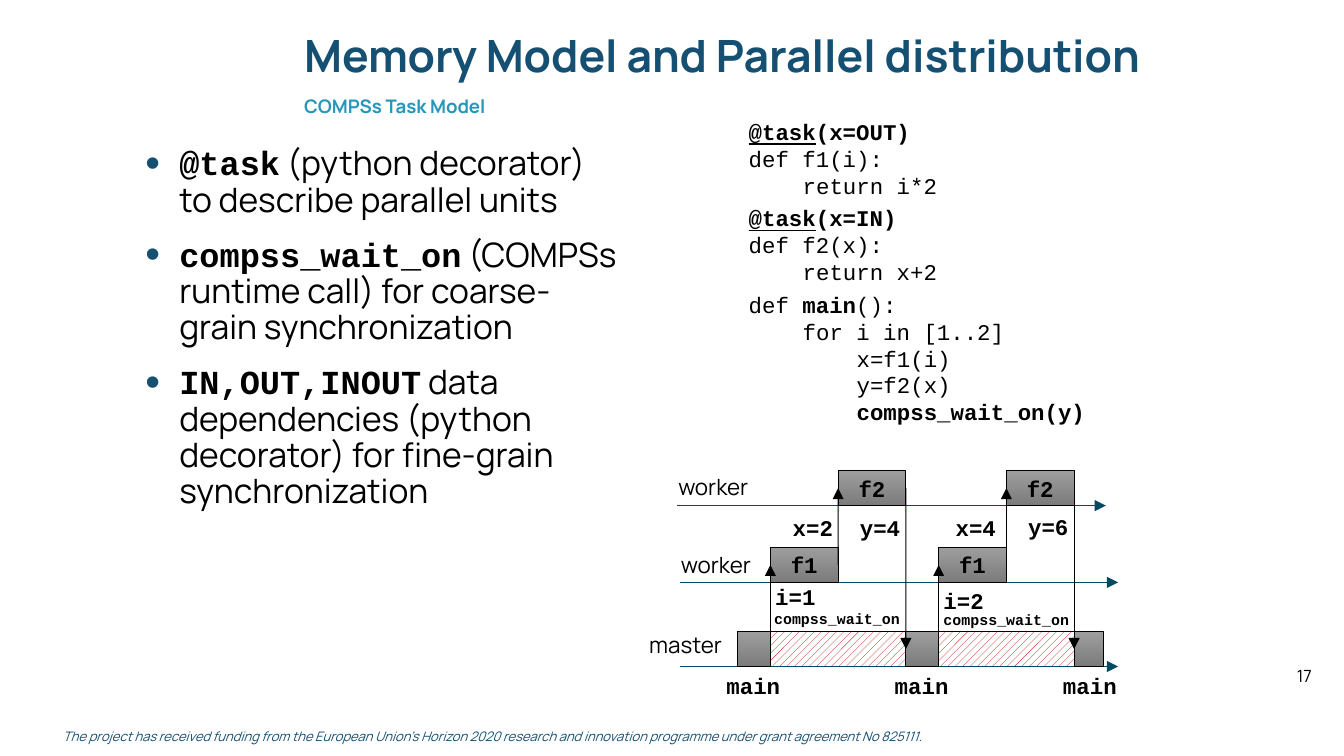
from lxml.etree import SubElement
from pptx import Presentation
from pptx.dml.color import RGBColor
from pptx.enum.dml import MSO_PATTERN
from pptx.enum.shapes import MSO_CONNECTOR, MSO_SHAPE
from pptx.enum.text import MSO_ANCHOR, PP_ALIGN
from pptx.oxml.ns import qn
from pptx.util import Cm, Pt

THEME = {
    "sans": "Manrope", "mono": "Courier New",
    "navy": "155073", "sky": "2797B9", "ink": "000000", "lane": "004B62",
    "light": "9D9D9D", "dark": "7C7C7C", "hatch": "C00000", "paper": "FFFFFF",
    "title": 23.8, "body": 18, "code": 12, "sub": 10, "page": 9, "small": 8, "foot": 7,
}

TITLE = "Memory Model and Parallel distribution"
SUB = "COMPSs Task Model"
PAGE = "17"
FOOT = [("The project has received funding from the European Union’s Horizon 2020 "
         "research and innovation programme under grant agreement No 825111", "i"), (".", "")]
POINTS = [
    [("@task", "bm"), (" (python decorator) to describe parallel units", "")],
    [("compss_wait_on", "bm"),
     (" (COMPSs runtime call) for coarse-grain synchronization", "")],
    [("IN,OUT,INOUT", "bm"),
     (" data dependencies (python decorator) for fine-grain synchronization", "")],
]
CODE = [
    (0, 0, [("@task", "bu"), ("(x=OUT)", "b")]),
    (0, 0, [("def f1(i):", "")]),
    (1, 0, [("return i*2", "")]),
    (0, 3, [("@task", "bu"), ("(x=IN)", "b")]),
    (0, 0, [("def f2(x):", "")]),
    (1, 0, [("return x+2", "")]),
    (0, 3, [("def ", ""), ("main", "b"), ("():", "")]),
    (1, 0, [("for i in [1..2]", "")]),
    (2, 0, [("x=f1(i)", "")]),
    (2, 0, [("y=f2(x)", "")]),
    (2, 0, [("compss_wait_on(y)", "b")]),
]
LANES = [
    ("worker", 12.57, 8.81, 12.8, 20.9, 9.55),
    ("worker", 12.62, 10.28, 12.85, 21.13, 11),
    ("master", 12.02, 11.8, 12.85, 21.13, 12.59),
]
LABELS = [
    ("x=2", 14.73, 9.58), ("y=4", 16, 9.58), ("i=1", 14.4, 10.89),
    ("x=4", 17.81, 9.59), ("y=6", 19.18, 9.57), ("i=2", 17.58, 10.96),
]
WAITS = [(14.38, 11.39), (17.58, 11.4)]
START, MAIN, TASK, TALL = 13.94, 0.62, 1.28, 0.66
CYCLE = MAIN + 2 * TASK

deck = Presentation()
deck.slide_width, deck.slide_height = Cm(25.4), Cm(14.28)
slide = deck.slides.add_slide(deck.slide_layouts[6])
shapes = slide.shapes


def tint(name):
    return RGBColor.from_string(THEME[name])


def write(frame, paras, size="code", font="sans", color="ink", style="", wrap=False,
          inset=None, lead=None, gap=0, dot=False, align=None):
    """Fill a frame with paragraphs of (level, space before, runs)."""
    frame.word_wrap = wrap
    if inset is not None:
        frame.margin_left = Cm(inset)
    if isinstance(paras, str):
        paras = [(0, gap, [(paras, style)])]
    for num, (level, space, runs) in enumerate(paras):
        para = frame.paragraphs[0] if num == 0 else frame.add_paragraph()
        para.alignment, para.line_spacing = align, lead
        para.space_before = Pt(space)
        props = para._p.get_or_add_pPr()
        if level:
            props.set("marL", str(Cm(1.02 * level)))
        if dot:
            props.set("marL", str(Cm(0.64)))
            props.set("indent", str(Cm(-0.64)))
            SubElement(SubElement(props, qn("a:buClr")), qn("a:srgbClr"), val=THEME["navy"])
            SubElement(props, qn("a:buSzPct"), val="125000")
            SubElement(props, qn("a:buFont"), typeface="Arial")
            SubElement(props, qn("a:buChar"), char="•")
        for words, marks in runs:
            run = para.add_run()
            run.text = words
            face = run.font
            face.name = THEME["mono" if "m" in marks else font]
            face.size, face.color.rgb = Pt(THEME[size]), tint(color)
            face.bold, face.italic, face.underline = "b" in marks, "i" in marks, "u" in marks


def place(paras, x, y, w, h, **style):
    write(shapes.add_textbox(Cm(x), Cm(y), Cm(w), Cm(h)).text_frame, paras, **style)


def label(words, x, y, size="code"):
    wide = len(words) * THEME[size] * 0.0212 + 0.55
    place(words, x, y, wide, 0.76, size=size, font="mono", style="b")


def block(x, base, w, words="", hatch=False):
    box = shapes.add_shape(MSO_SHAPE.RECTANGLE, Cm(x), Cm(base - TALL), Cm(w), Cm(TALL))
    box.shadow.inherit = False
    box.line.color.rgb, box.line.width = tint("ink"), Pt(0.5)
    if hatch:
        box.fill.patterned()
        box.fill.pattern = MSO_PATTERN.WIDE_UPWARD_DIAGONAL
        box.fill.fore_color.rgb, box.fill.back_color.rgb = tint("hatch"), tint("paper")
    else:
        box.fill.gradient()
        box.fill.gradient_angle = 270
        for stop, name in zip(box.fill.gradient_stops, ("light", "dark")):
            stop.color.rgb = tint(name)
    if words:
        box.text_frame.vertical_anchor = MSO_ANCHOR.MIDDLE
        write(box.text_frame, words, font="mono", style="b", wrap=True, align=PP_ALIGN.CENTER)
    return box


def arrow(x1=0, y1=0, x2=0, y2=0, color="ink", ends=None):
    line = shapes.add_connector(MSO_CONNECTOR.STRAIGHT, Cm(x1), Cm(y1), Cm(x2), Cm(y2))
    line.line.color.rgb, line.line.width = tint(color), Pt(0.5)
    props = line.element.spPr
    SubElement(props.find(qn("a:ln")), qn("a:tailEnd"), type="triangle")
    SubElement(props, qn("a:effectLst"))
    if ends:
        line.begin_connect(ends[0], 3)
        line.end_connect(ends[1], 1)


place(PAGE, 24.26, 12.45, 0.97, 0.64, size="page")
place([(0, 0, FOOT)], 0.94, 13.64, 17.12, 0.56, size="foot", color="navy", wrap=True)
place(TITLE, 5.75, 0.6, 17.02, 1.09, size="title", color="navy", style="b",
      wrap=True, inset=0, lead=0.8, gap=10)
place(SUB, 5.75, 1.72, 16.79, 0.61, size="sub", color="sky", style="b",
      wrap=True, inset=0, lead=0.9, gap=10)
place([(0, 10, runs) for runs in POINTS], 2.5, 2.65, 9.53, 10.36, size="body",
      wrap=True, lead=0.9, dot=True)
place(CODE, 13.9, 2.11, 7.24, 6.12, font="mono")

high, mid, low = (lane[-1] for lane in LANES)
starts = [START + CYCLE * num for num in range(3)]
for x in starts[:2]:
    block(x + MAIN, low, 2 * TASK, hatch=True)
for name, x, y, left, right, base in LANES:
    place(name, x, y, 1.9, 0.76)
    arrow(left, base, right, base, color="lane")

mains = [block(x, low, w) for x, w in zip(starts, (MAIN, MAIN, 0.56))]
for x, now, then in zip(starts, mains, mains[1:]):
    first = block(x + MAIN, mid, TASK, "f1")
    second = block(x + MAIN + TASK, high, TASK, "f2")
    chain = [now, first, second, then]
    for ends in zip(chain, chain[1:]):
        arrow(ends=ends)

for words, x, y in LABELS:
    label(words, x, y)
for x in starts:
    label("main", x - 0.46, 12.57)
for x, y in WAITS:
    label("compss_wait_on", x, y, size="small")

deck.save("out.pptx")
